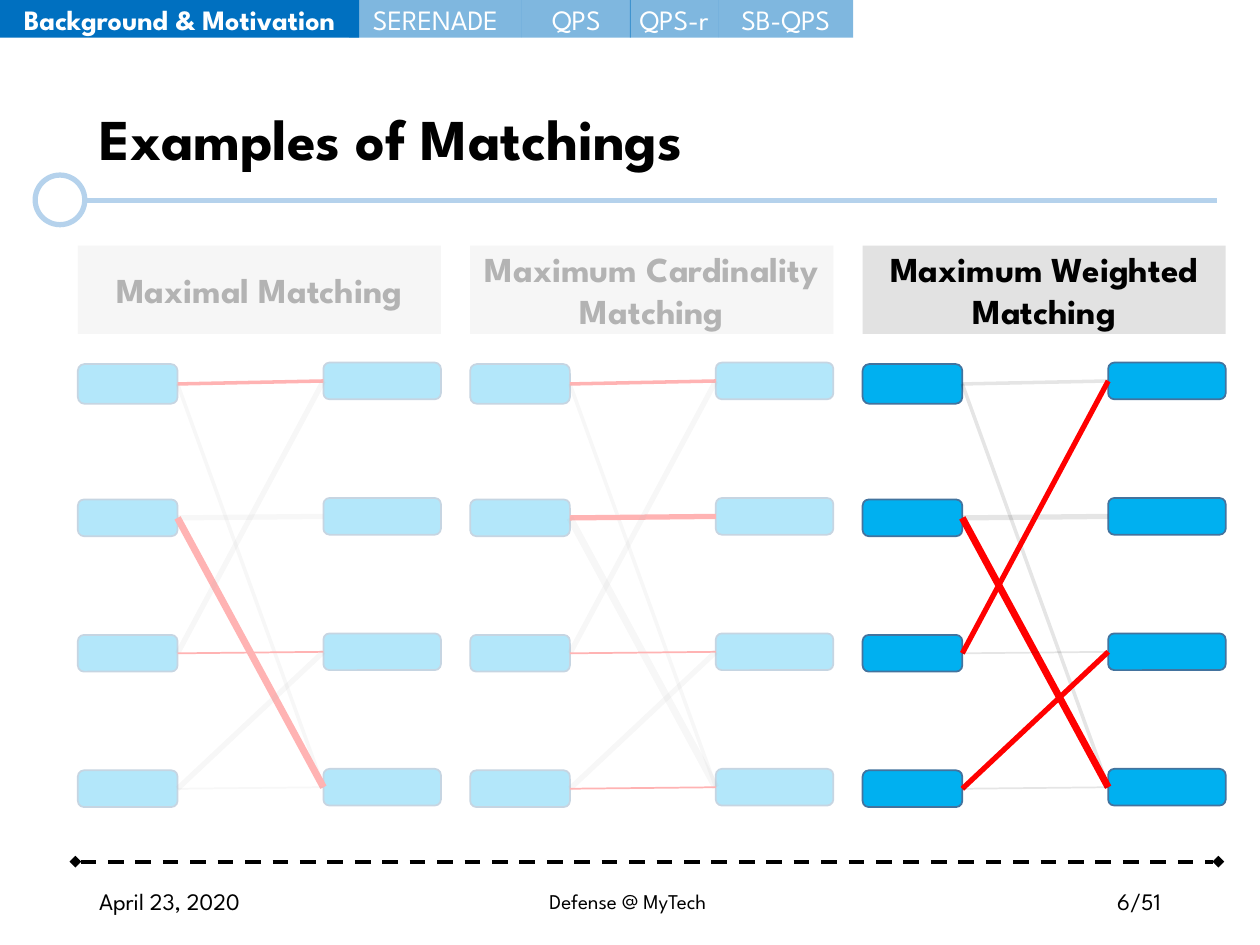
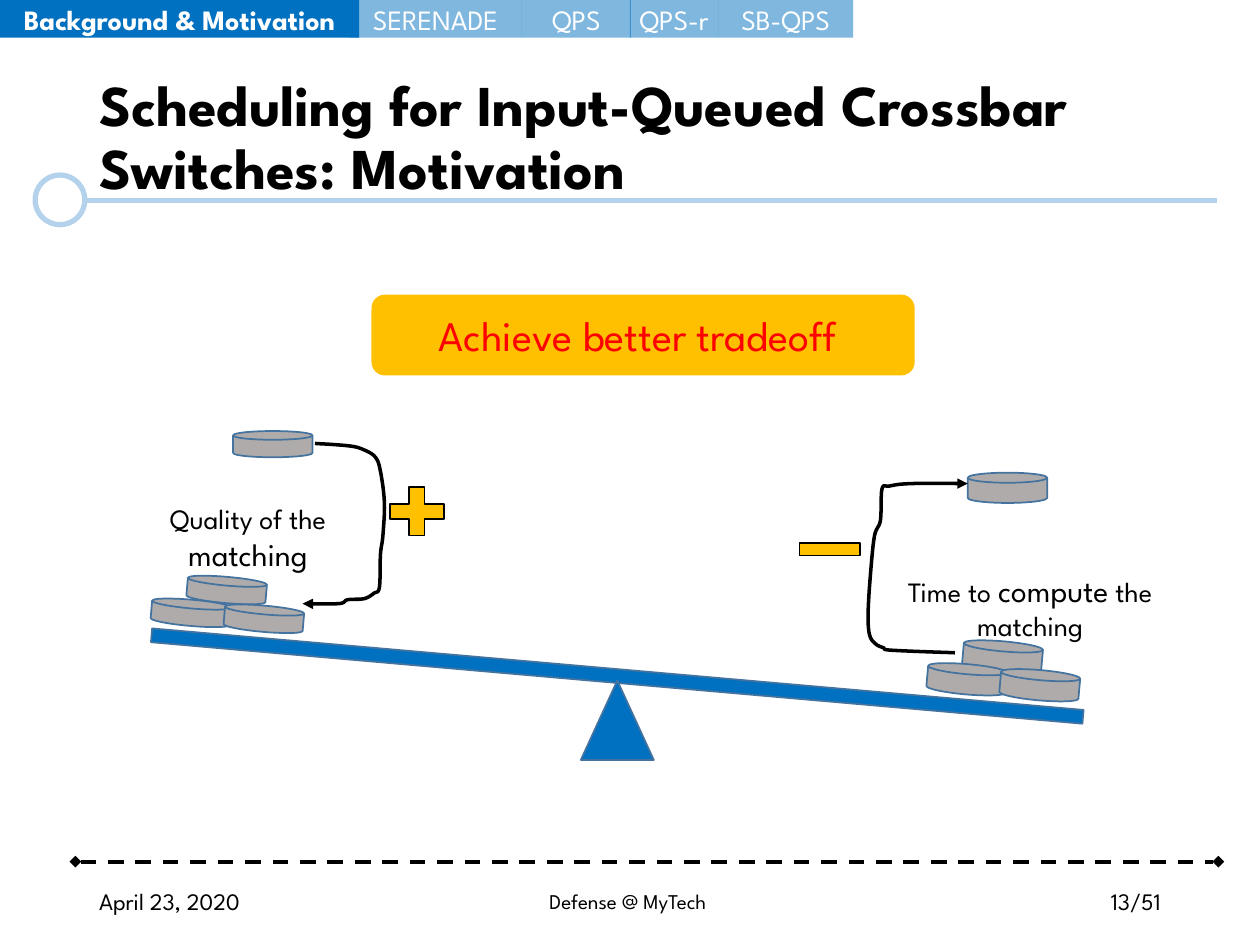
from lxml import etree
from pptx import Presentation
from pptx.dml.color import RGBColor
from pptx.enum.dml import MSO_LINE
from pptx.enum.shapes import MSO_CONNECTOR, MSO_SHAPE
from pptx.enum.text import MSO_ANCHOR, MSO_AUTO_SIZE, PP_ALIGN
from pptx.oxml.ns import qn
from pptx.util import Cm, Pt

FONT = "League Spartan"
BLACK = RGBColor(0x00, 0x00, 0x00)
WHITE = RGBColor(0xFF, 0xFF, 0xFF)
RED = RGBColor(0xFF, 0x00, 0x00)
BLUE = RGBColor(0x00, 0x70, 0xC0)
PALE_BLUE = RGBColor(0xB5, 0xD2, 0xEC)
SKY = RGBColor(0x00, 0xB0, 0xF0)
OUTLINE = RGBColor(0x43, 0x73, 0x9E)
HEADER_GRAY = RGBColor(0xE2, 0xE2, 0xE2)
DISK_GRAY = RGBColor(0xAF, 0xAB, 0xAB)
GOLD = RGBColor(0xFF, 0xC0, 0x00)

RECT, ROUNDED = MSO_SHAPE.RECTANGLE, MSO_SHAPE.ROUNDED_RECTANGLE
OVAL, TRIANGLE = MSO_SHAPE.OVAL, MSO_SHAPE.ISOSCELES_TRIANGLE
DISK = MSO_SHAPE.FLOWCHART_MAGNETIC_DISK
PLUS, MINUS = MSO_SHAPE.MATH_PLUS, MSO_SHAPE.MATH_MINUS
STRAIGHT = MSO_CONNECTOR.STRAIGHT
DASH = MSO_LINE.DASH
LEFT, CENTER, RIGHT = PP_ALIGN.LEFT, PP_ALIGN.CENTER, PP_ALIGN.RIGHT
TOP, MIDDLE = MSO_ANCHOR.TOP, MSO_ANCHOR.MIDDLE
LEFT_SITE, RIGHT_SITE = 1, 3

TITLE_ONLY = 5
TABS = [  # label, left, width in cm
    ("Background & Motivation", 0, 7.24),
    ("SERENADE", 7.04, 3.48),
    ("QPS", 10.52, 2.2),
    ("QPS-r", 12.7, 1.78),
    ("SB-QPS", 14.48, 2.72),
]
CURRENT_TAB = "Background & Motivation"

EDGE_WIDTHS = {  # (input port, output port): points
    (0, 0): 2, (0, 3): 2, (1, 1): 3, (1, 3): 4,
    (2, 0): 3, (2, 2): 1, (3, 2): 3, (3, 3): 1,
}
MATCHINGS = [  # heading, matched edges, dimmed
    ("Maximal Matching", {(0, 0), (1, 3), (2, 2)}, True),
    ("Maximum Cardinality Matching", {(0, 0), (1, 1), (2, 2), (3, 3)}, True),
    ("Maximum Weighted Matching", {(1, 3), (2, 0), (3, 2)}, False),
]

PILE = [(0.72, 0), (0, 0.46), (1.47, 0.58)]
ADDING_CURVE = [
    (0.25, 0), (0.94, 0.05), (1.24, 0.13), (1.47, 0.28), (1.57, 0.56),
    (1.65, 1.19), (1.62, 1.86), (1.57, 2.24), (1.55, 2.9), (1.44, 3.02),
    (1.24, 3.13), (0.91, 3.15), (0.73, 3.23), (0, 3.23),
]
REMOVING_CURVE = [
    (1.75, 3.41), (0.48, 3.36), (0.31, 3.31), (0.15, 3.23), (0.03, 3.05),
    (0, 2.62), (0.05, 1.81), (0.13, 1.05), (0.25, 0.74), (0.28, 0.11),
    (0.43, 0.05), (0.86, 0), (2.01, 0),
]


def set_opacity(shape, percent):
    """Make the first colour of the shape (its fill, or a connector's line) translucent."""
    color = shape._element.spPr.find(".//" + qn("a:srgbClr"))
    etree.SubElement(color, qn("a:alpha"), val=str(percent * 1000))


def shadow_effect(blur, distance, opacity, angle):
    effects = etree.Element(qn("a:effectLst"))
    outer = etree.SubElement(
        effects, qn("a:outerShdw"), blurRad=str(Pt(blur)), dist=str(Pt(distance)),
        dir=str(angle * 60000), algn="tl", rotWithShape="0")
    color = etree.SubElement(outer, qn("a:srgbClr"), val=str(BLACK))
    etree.SubElement(color, qn("a:alpha"), val=str(opacity * 1000))
    return effects


def set_line_end(shape, end, kind):
    line = shape._element.spPr.find(qn("a:ln"))
    etree.SubElement(line, qn("a:" + end), type=kind)


def add_figure(slide, kind, box, fill, line=None, width=1, rotation=0):
    figure = slide.shapes.add_shape(kind, *map(Cm, box))
    figure.shadow.inherit = False
    figure.fill.solid()
    figure.fill.fore_color.rgb = fill
    if line is None:
        figure.line.fill.background()
    else:
        figure.line.color.rgb = line
        figure.line.width = Pt(width)
    figure.rotation = rotation
    return figure


def add_rule(slide, start, end, color, width, effects=None):
    rule = slide.shapes.add_connector(STRAIGHT, *map(Cm, start + end))
    rule.line.color.rgb = color
    rule.line.width = Pt(width)
    if effects is None:
        effects = etree.Element(qn("a:effectLst"))
    rule._element.spPr.append(effects)
    return rule


def write(shape, runs, color=BLACK, bold=False, align=CENTER, anchor=MIDDLE):
    """Fill the shape with one paragraph of (text, size) runs."""
    frame = shape.text_frame
    frame.word_wrap = True
    frame.auto_size = MSO_AUTO_SIZE.NONE
    frame.vertical_anchor = anchor
    paragraph = frame.paragraphs[0]
    paragraph.alignment = align
    for text, size in runs:
        run = paragraph.add_run()
        run.text = text
        run.font.name = FONT
        run.font.size = Pt(size)
        run.font.bold = bold
        run.font.color.rgb = color
    return paragraph


def add_label(slide, box, runs, **style):
    write(slide.shapes.add_textbox(*map(Cm, box)), runs, **style)


def add_tabs(slide):
    for label, left, width in TABS:
        current = label == CURRENT_TAB
        tab = add_figure(slide, RECT, (left, 0, width, 0.76), BLUE)
        if not current:
            set_opacity(tab, 50)
        tab.text_frame.margin_left = tab.text_frame.margin_right = 0
        write(tab, [(label, 16)], WHITE, bold=current)


def add_title(slide, text, box):
    add_rule(slide, (1.75, 4.04), (24.54, 4.04), PALE_BLUE, 3)
    add_figure(slide, OVAL, (0.71, 3.53, 1, 1), WHITE, PALE_BLUE, 3)
    title = slide.shapes.title
    title.left, title.top, title.width, title.height = map(Cm, box)
    paragraph = write(title, [(text, 33)], bold=True, align=LEFT)
    paragraph.line_spacing = 0.9
    text_fill = paragraph.runs[0].font._element.find(qn("a:solidFill"))
    text_fill.addnext(shadow_effect(3, 3, 43, 45))


def add_footer(slide, page):
    rule = add_rule(slide, (1.52, 17.37), (24.56, 17.37), BLACK, 2.25,
                    shadow_effect(43, 36, 4, 90))
    rule.line.dash_style = DASH
    for end in ("headEnd", "tailEnd"):
        set_line_end(rule, end, "diamond")
    top, height = 17.65, 1.02
    add_label(slide, (1.75, top, 5.72, height), [("April 23, 2020", 13.5)], align=LEFT)
    add_label(slide, (6.12, top, 13.08, height), [("Defense @ MyTech", 12)])
    add_label(slide, (17.93, top, 5.72, height), [(page, 13.5)], align=RIGHT)


def add_content_slide(deck, title, title_box, page):
    slide = deck.slides.add_slide(deck.slide_layouts[TITLE_ONLY])
    add_title(slide, title, title_box)
    add_tabs(slide)
    add_footer(slide, page)
    return slide


def add_matching(slide, left, top, heading, matched, dimmed):
    """Draw the bipartite graph with its matched edges in red."""
    header = add_figure(slide, RECT, (left, top, 7.32, 1.78), HEADER_GRAY)
    header.text_frame.margin_left = header.text_frame.margin_right = 0
    write(header, [(heading, 20)], bold=True)
    inputs, outputs = [], []
    for row in range(4):
        y = top + 2.39 + 2.73 * row
        input_height = 0.8 if row == 0 else 0.74
        inputs.append(add_figure(
            slide, ROUNDED, (left, y, 2.01, input_height), SKY, OUTLINE))
        outputs.append(add_figure(
            slide, ROUNDED, (left + 4.95, y - 0.03, 2.37, 0.74), SKY, OUTLINE))
    for (source, target), width in EDGE_WIDTHS.items():
        in_matching = (source, target) in matched
        edge = add_rule(slide, (0, 0), (1, 1), RED if in_matching else BLACK, width)
        edge.begin_connect(inputs[source], RIGHT_SITE)
        edge.end_connect(outputs[target], LEFT_SITE)
        if not in_matching:
            set_opacity(edge, 10)
    if dimmed:
        veil = add_figure(slide, RECT, (left - 0.4, top - 0.2, 8.2, 11.8), WHITE)
        set_opacity(veil, 70)


def add_disk(slide, left, top, height, rotation=0):
    add_figure(slide, DISK, (left, top, 1.6, height), DISK_GRAY, OUTLINE,
               rotation=rotation)


def add_pile(slide, left, top, disk_height):
    for dx, dy in PILE:
        add_disk(slide, left + dx, top + dy, disk_height, rotation=5)


def smooth(points, steps=6):
    """Return points along a Catmull-Rom curve through the given ones."""
    padded = [points[0], *points, points[-1]]
    curve = []
    for a, b, c, d in zip(padded, padded[1:], padded[2:], padded[3:]):
        for step in range(steps):
            t = step / steps
            curve.append(tuple(
                q + t * (r - p) / 2
                + t ** 2 * (2 * p - 5 * q + 4 * r - s) / 2
                + t ** 3 * (3 * q - p - 3 * r + s) / 2
                for p, q, r, s in zip(a, b, c, d)))
    return curve + [points[-1]]


def add_curved_arrow(slide, left, top, points):
    start, *rest = [(Cm(left + x), Cm(top + y)) for x, y in smooth(points)]
    builder = slide.shapes.build_freeform(*start)
    builder.add_line_segments(rest, close=False)
    arrow = builder.convert_to_shape()
    arrow.shadow.inherit = False
    arrow.fill.background()
    arrow.line.color.rgb = BLACK
    arrow.line.width = Pt(2)
    set_line_end(arrow, "tailEnd", "triangle")


def add_seesaw(slide, left, top):
    add_figure(slide, RECT, (left, top, 18.85, 0.28), BLUE, OUTLINE, rotation=5)
    add_figure(slide, TRIANGLE, (left + 8.69, top + 0.23, 1.47, 1.6), BLUE, OUTLINE)


def add_quality_side(slide, left, top):
    add_disk(slide, left + 2.19, top, 0.53)
    add_pile(slide, left + 0.54, top + 2.94, 0.53)
    add_label(slide, (left, top + 1.29, 4.98, 1.7),
              [("Quality of the ", 16), ("matching", 18)], anchor=TOP)
    add_curved_arrow(slide, left + 3.59, top + 0.25, ADDING_CURVE)
    add_figure(slide, PLUS, (left + 5.16, top + 0.96, 1.47, 1.32), GOLD, BLACK)


def add_time_side(slide, left, top):
    add_disk(slide, left + 3.61, top, 0.61)
    add_pile(slide, left + 2.79, top + 3.4, 0.61)
    add_label(slide, (left + 1.98, top + 1.85, 5.77, 1.7),
              [("Time to ", 16), ("compute", 18), (" the matching", 16)], anchor=TOP)
    add_curved_arrow(slide, left + 1.6, top + 0.22, REMOVING_CURVE)
    add_figure(slide, MINUS, (left, top + 1.01, 1.65, 1.07), GOLD, BLACK)


def build_matchings_slide(deck):
    slide = add_content_slide(
        deck, "Examples of Matchings", (1.75, 1.02, 19.96, 3.68), "6/51")
    for column, matching in enumerate(MATCHINGS):
        add_matching(slide, 1.57 + 7.91 * column, 4.95, *matching)


def build_tradeoff_slide(deck):
    slide = add_content_slide(
        deck, "Scheduling for Input-Queued Crossbar Switches: Motivation",
        (1.75, 0.97, 21.89, 3.68), "13/51")
    goal = add_figure(slide, ROUNDED, (7.49, 5.94, 10.95, 1.63), GOLD)
    write(goal, [("Achieve better tradeoff ", 24)], RED)
    add_seesaw(slide, 3.02, 13.49)
    add_quality_side(slide, 2.51, 8.69)
    add_time_side(slide, 15.9, 9.53)


def main():
    deck = Presentation()
    deck.slide_width, deck.slide_height = Cm(25.4), Cm(19.05)
    build_matchings_slide(deck)
    build_tradeoff_slide(deck)
    deck.save("out.pptx")


if __name__ == "__main__":
    main()
